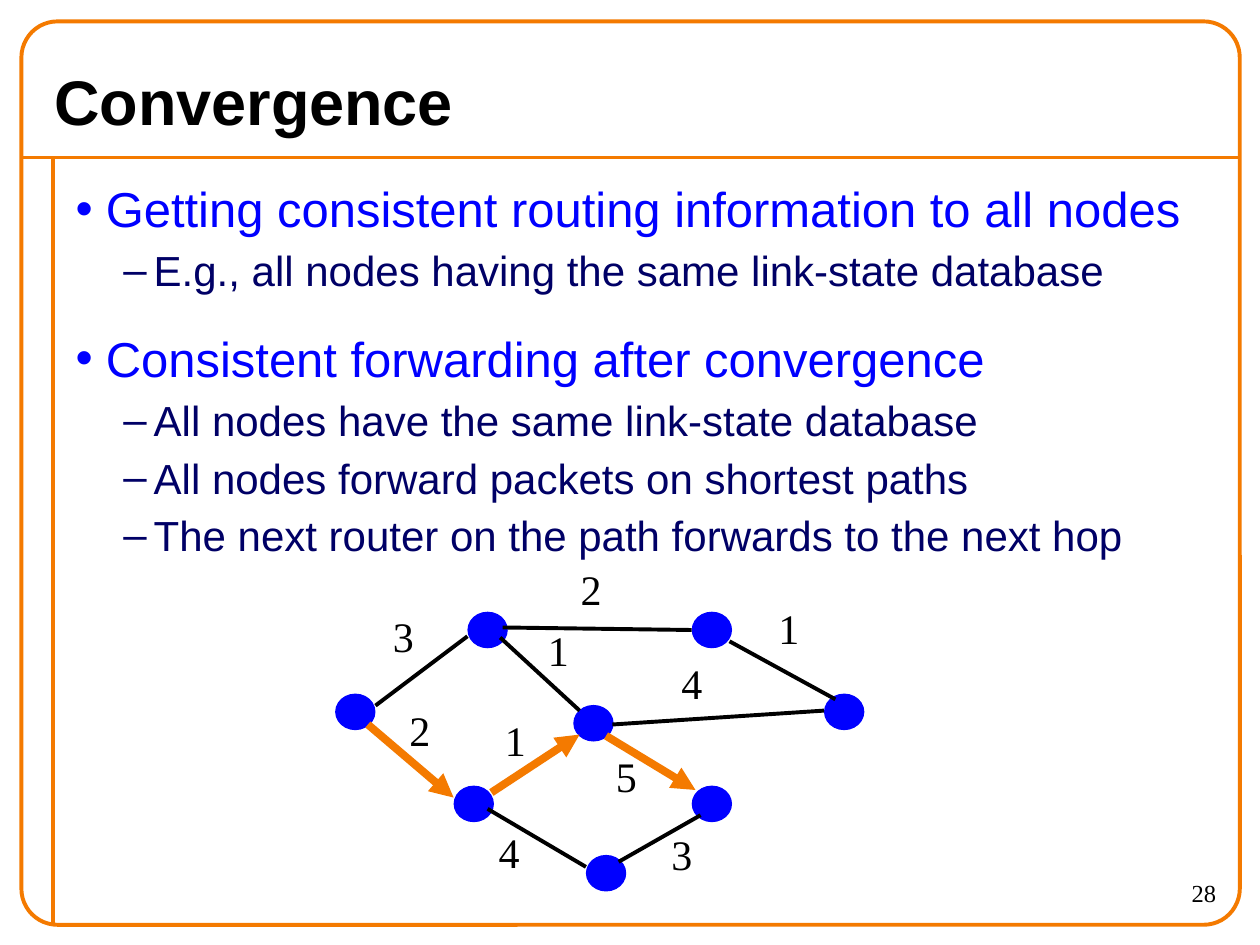
from pptx import Presentation, util as u
from pptx.dml.color import RGBColor
from pptx.enum import shapes, text
from pptx.oxml.ns import qn
from lxml import etree

# Lengths are counted in cells of a grid of 100 columns and 75 rows.
CELL = u.Inches(0.1)
COLUMNS, ROWS = 100, 75
ORANGE, BLUE, NAVY, BLACK = "F47A00", "0000FF", "000066", "000000"

BULLETS = [
    (0, "Getting consistent routing information to all nodes"),
    (1, "E.g., all nodes having the same link-state database"),
    (0, "Consistent forwarding after convergence"),
    (1, "All nodes have the same link-state database"),
    (1, "All nodes forward packets on shortest paths"),
    (1, "The next router on the path forwards to the next hop"),
]
LEVELS = [
    {"mark": "•", "size": 28, "color": BLUE, "left": 2.4, "before": 19},
    {"mark": "–", "size": 24, "color": NAVY, "left": 6.2, "before": 4.1},
]
HANGING = 2.4

NODE_SIZE = (3.1, 2.8)
NODE_CENTERS = [(28.2, 56.5), (37.6, 63.8), (38.7, 50), (47.1, 57.4),
                (56.5, 63.8), (56.5, 50), (48.1, 69.3), (67, 56.5)]
# start, end, cost, left and top of the cost label
LINKS = [
    ((29.8, 56), (37.1, 50.5), "3", (30.2, 48)),
    ((39.7, 50.6), (46, 56.4), "1", (42.5, 49.1)),
    ((38.7, 64.2), (46.5, 68.8), "4", (38.6, 65.1)),
    ((49.1, 68.4), (55.6, 64.7), "3", (52.3, 65.3)),
    ((48.6, 57.5), (65.4, 56.4), "4", (53.1, 51.7)),
    ((39.9, 49.8), (54.9, 50), "2", (45.1, 44.2)),
    ((57.9, 50.9), (66.3, 55.5), "1", (60.8, 47.3)),
]
PATH_LINKS = [
    ((29.2, 57.5), (36, 63.3), "2", (31.5, 55.4)),
    ((39, 62.9), (46, 58.3), "1", (39.1, 56.2)),
    ((48.1, 58.4), (55.2, 62.7), "5", (47.9, 59.1)),
]


def color(value):
    return RGBColor.from_string(value)


def cells(*counts):
    return [round(count * CELL) for count in counts]


def format_font(font, hue, **values):
    font.color.rgb = color(hue)
    for name, value in values.items():
        setattr(font, name, value)


def format_frame(frame, **values):
    for name, value in values.items():
        setattr(frame, name, value)


def place(shape, *box):
    shape.left, shape.top, shape.width, shape.height = cells(*box)


def add_outline(page, kind, box, hue, width, filled):
    shape = page.shapes.add_shape(kind, *cells(*box))
    shape.shadow.inherit = False
    if filled:
        shape.fill.solid()
        shape.fill.fore_color.rgb = color(hue)
    else:
        shape.fill.background()
    shape.line.color.rgb = color(hue)
    shape.line.width = u.Pt(width)
    return shape


def add_line(page, start, end, hue=BLACK, width=2.25, arrow=False):
    line = page.shapes.add_connector(
        shapes.MSO_CONNECTOR.STRAIGHT, *cells(*start, *end))
    line.line.color.rgb = color(hue)
    line.line.width = u.Pt(width)
    if arrow:
        etree.SubElement(line.line._get_or_add_ln(), qn("a:tailEnd"), type="triangle")
    etree.SubElement(line._element.spPr, qn("a:effectLst"))


def add_label(page, words, box, size, align=text.PP_ALIGN.LEFT, wrap=False):
    frame = page.shapes.add_textbox(*cells(*box)).text_frame
    frame.word_wrap = wrap
    para = frame.paragraphs[0]
    para.text, para.alignment = words, align
    format_font(para.runs[0].font, BLACK, name="Times New Roman", size=u.Pt(size))


def add_frame(page):
    border = add_outline(page, shapes.MSO_SHAPE.ROUNDED_RECTANGLE,
                         (1.7, 1.7, COLUMNS - 3.3, ROWS - 3.3), ORANGE, 2.25, False)
    border.adjustments[0] = 0.04
    add_line(page, (1.7, 12.5), (98.3, 12.5), ORANGE)
    add_line(page, (4.2, 12.5), (4.2, 73.3), ORANGE)


def fill_title(title, words):
    place(title, 3.3, 4.2, 88.2, 7.5)
    frame = title.text_frame
    frame.text = words
    format_frame(frame, vertical_anchor=text.MSO_ANCHOR.MIDDLE,
                 auto_size=text.MSO_AUTO_SIZE.NONE)
    para = frame.paragraphs[0]
    para.alignment = text.PP_ALIGN.LEFT
    format_font(para.runs[0].font, BLACK, name="Arial", size=u.Pt(36), bold=True)


def set_bullet(para, style):
    left, hanging = cells(style["left"], HANGING)
    props = para._p.get_or_add_pPr()
    props.set("marL", str(left))
    props.set("indent", str(-hanging))
    hue = etree.SubElement(props, qn("a:buClr"))
    etree.SubElement(hue, qn("a:srgbClr"), val=style["color"])
    etree.SubElement(props, qn("a:buFont"), typeface="Arial")
    etree.SubElement(props, qn("a:buChar"), char=style["mark"])


def fill_body(body):
    place(body, 5, 13.3, 92.5, 60)
    frame = body.text_frame
    format_frame(frame, auto_size=text.MSO_AUTO_SIZE.NONE, margin_top=u.Inches(0.09))
    for index, (level, words) in enumerate(BULLETS):
        style = LEVELS[level]
        para = frame.add_paragraph() if index else frame.paragraphs[0]
        para.text, para.level = words, level
        set_bullet(para, style)
        para.space_before = u.Pt(style["before"] if index else 0)
        format_font(para.runs[0].font, style["color"], name="Arial",
                    size=u.Pt(style["size"]))


def add_network(page):
    width, height = NODE_SIZE
    for x, y in NODE_CENTERS:
        add_outline(page, shapes.MSO_SHAPE.OVAL,
                    (x - width / 2, y - height / 2, width, height), BLUE, 0.75, True)
    for start, end, *_ in LINKS:
        add_line(page, start, end)
    for start, end, *_ in PATH_LINKS:
        add_line(page, start, end, ORANGE, 4.5, arrow=True)
    for *_, cost, corner in LINKS + PATH_LINKS:
        add_label(page, cost, (*corner, 3.6, 5), 24)


def main():
    deck = Presentation()
    deck.slide_width, deck.slide_height = cells(COLUMNS, ROWS)
    page = deck.slides.add_slide(deck.slide_layouts[1])
    add_frame(page)
    fill_title(page.shapes.title, "Convergence")
    fill_body(page.placeholders[1])
    add_network(page)
    add_label(page, "28", (87.5, 69.2, 10, 4.2), 14, text.PP_ALIGN.RIGHT, wrap=True)
    deck.save("out.pptx")


if __name__ == "__main__":
    main()
